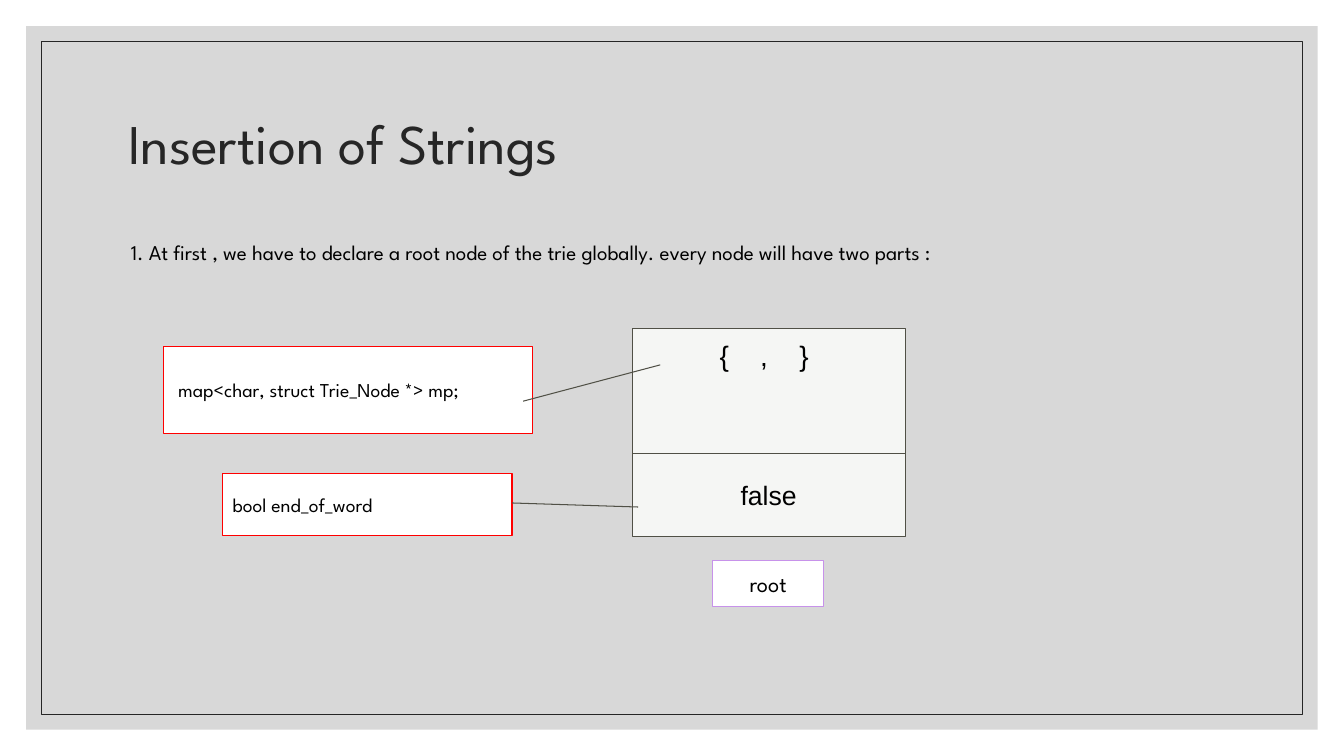
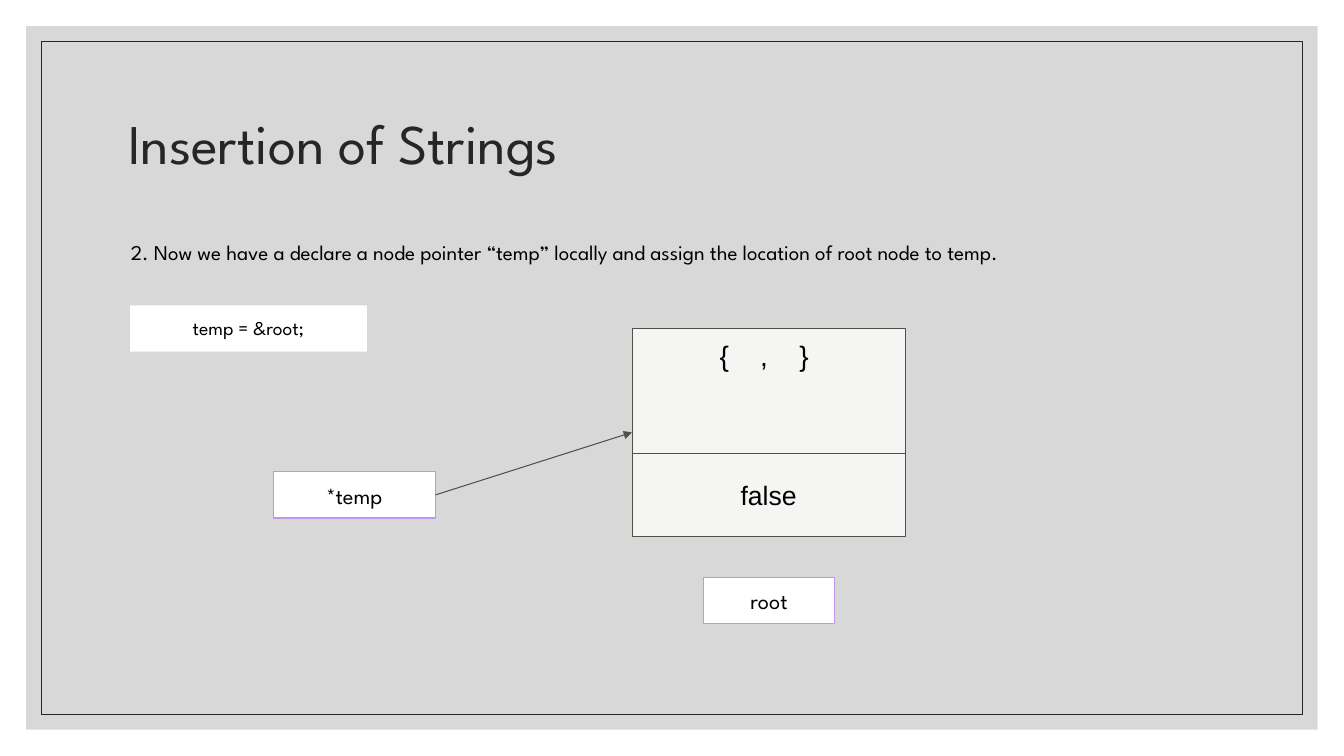
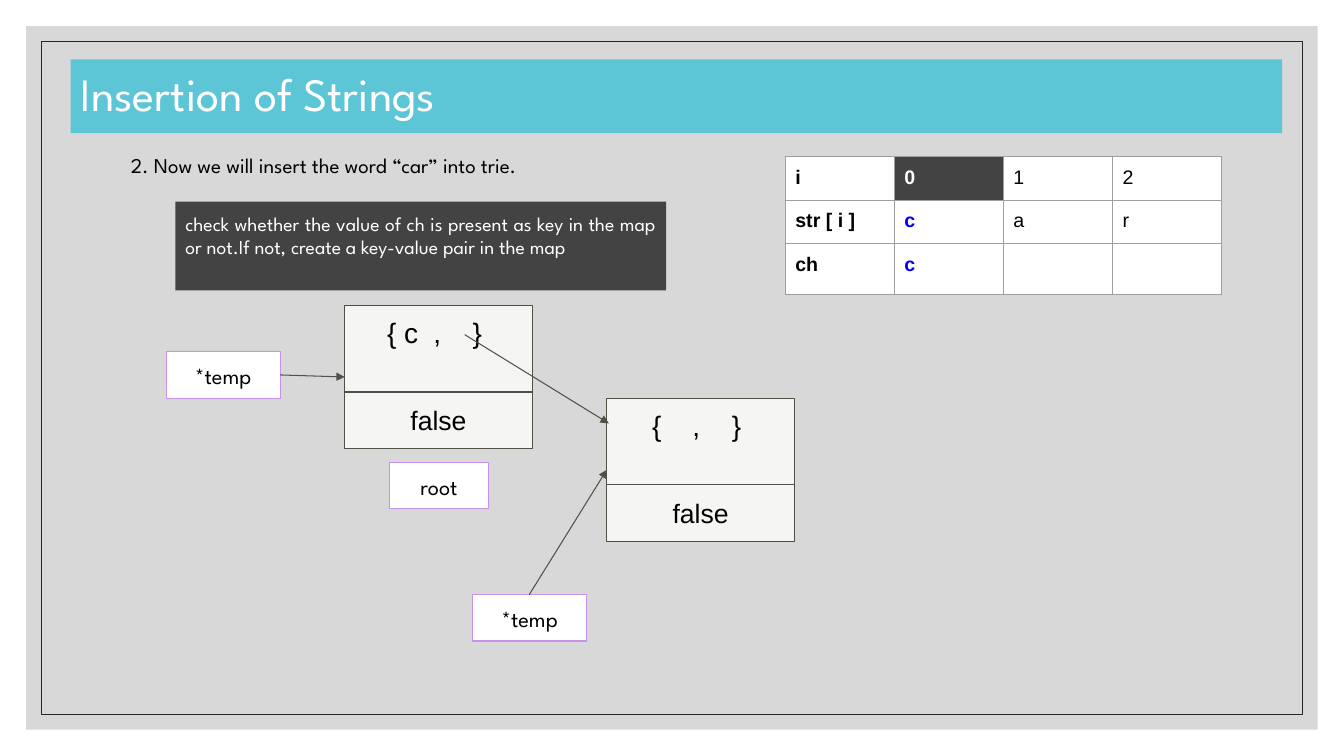
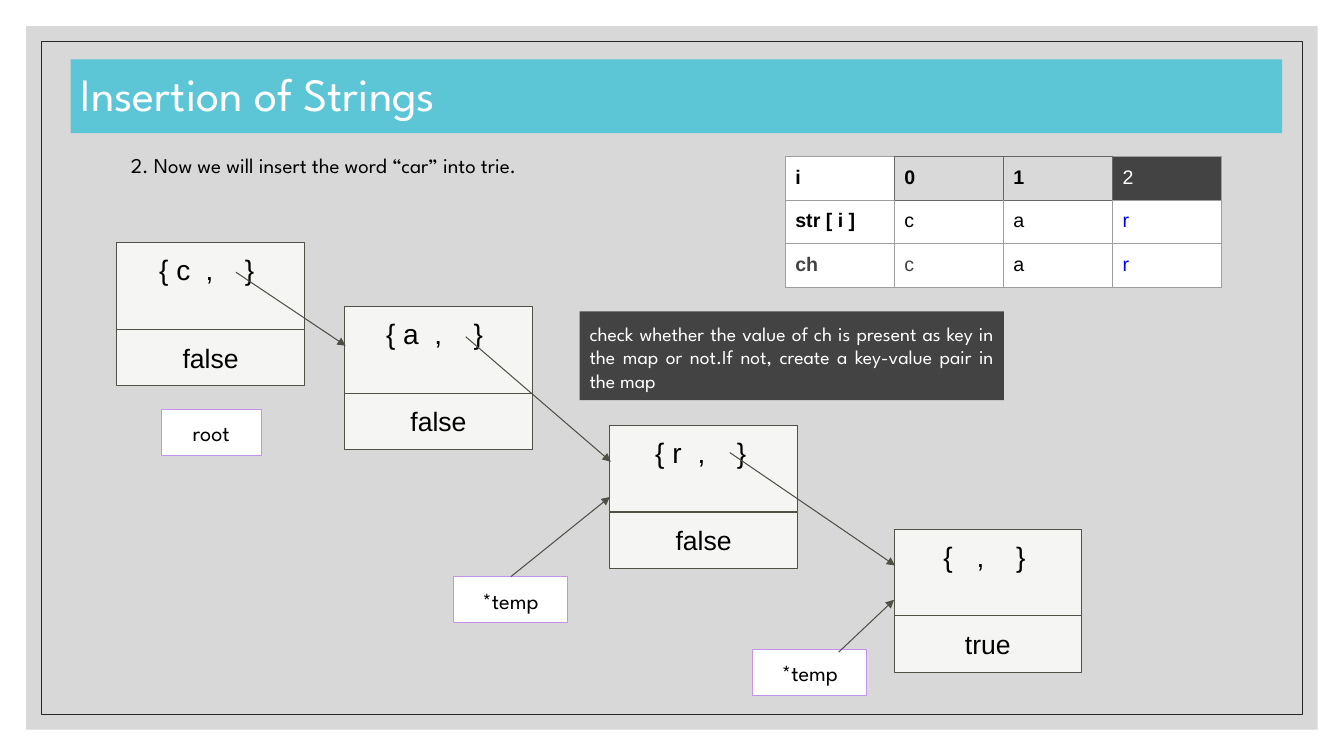
from dataclasses import dataclass
from typing import Any, NamedTuple, Optional

from lxml.etree import SubElement
from pptx import Presentation
from pptx.dml.color import RGBColor
from pptx.enum.shapes import MSO_CONNECTOR, MSO_SHAPE
from pptx.enum.text import MSO_ANCHOR, MSO_AUTO_SIZE, PP_ALIGN
from pptx.oxml.ns import qn
from pptx.util import Emu, Inches, Pt


# ---------- theme ----------
@dataclass(frozen=True)
class Theme:
    white: str = "FFFFFF"
    black: str = "000000"
    ink: str = "262626"
    panel: str = "BFBFBF"
    band: str = "5CC6D6"
    dark: str = "434343"
    node_fill: str = "F5F6F4"
    node_line: str = "505046"
    red: str = "FF0000"
    purple: str = "C792EA"
    blue: str = "0000FF"
    visited: str = "D9D9D9"
    grid_line: str = "9E9E9E"
    visited_line: str = "666666"
    heading_font: str = "League Spartan"
    node_font: str = "Arial"
    title_size: int = 40
    band_title_size: int = 33
    step_size: int = 15
    tag_size: int = 16
    small_size: int = 14
    key_size: int = 20
    value_size: int = 19
    line_width: float = 0.75


THEME = Theme()
CELL = Inches(0.1)  # the layout grid has square cells
SLIDE_COLS, SLIDE_ROWS = 133.33, 75
BRACE_GAP = 3.9  # columns from the comma to the closing brace


# ---------- content types ----------
class Box(NamedTuple):
    col: float
    row: float
    cols: float
    rows: float


class Arrow(NamedTuple):
    col: float
    row: float
    to_col: float
    to_row: float
    head: bool = True


@dataclass(frozen=True)
class LabelStyle:
    size: int
    fill: str = THEME.white
    line: Optional[str] = None
    color: str = THEME.black
    align: PP_ALIGN = PP_ALIGN.CENTER
    anchor: MSO_ANCHOR = MSO_ANCHOR.TOP


class Label(NamedTuple):
    text: str
    box: Box
    style: LabelStyle


@dataclass(frozen=True)
class NodeSize:
    cols: float
    key_rows: float
    value_rows: float


class Entry(NamedTuple):
    """Opening text of a map entry, its indent and its distance to the comma."""
    opening: str
    indent: float
    comma: float


class Node(NamedTuple):
    col: float
    row: float
    entry: Entry
    value: str = "false"
    size: NodeSize = NodeSize(18.6, 8.6, 5.6)


class CellStyle(NamedTuple):
    color: str = THEME.black
    bold: bool = False
    fill: str = THEME.white


class TableCell(NamedTuple):
    text: str
    style: CellStyle = CellStyle()


@dataclass(frozen=True)
class TitleStyle:
    box: Box
    size: int
    color: str
    fill: Optional[str] = None


@dataclass(frozen=True)
class Page:
    title: TitleStyle
    step: str
    step_box: Box
    nodes: tuple[Node, ...]
    labels: tuple[Label, ...]
    arrows: tuple[Arrow, ...]
    letters: tuple[tuple[TableCell, ...], ...] = ()


# ---------- helpers ----------
def grid(cells: float) -> Emu:
    return Emu(round(cells * CELL))


def place(box: Box) -> tuple[Emu, ...]:
    return tuple(grid(length) for length in box)


def assign(target: Any, values: dict[str, Any]) -> None:
    for name, value in values.items():
        setattr(target, name, value)


def paint(fill: Any, color: Optional[str]) -> None:
    if color is None:
        fill.background()
    else:
        fill.solid()
        fill.fore_color.rgb = RGBColor.from_string(color)


def write(frame: Any, text: str, font: str, size: float, color: str,
          bold: bool = False, **paragraph_format: Any) -> Any:
    paragraph = frame.paragraphs[0]
    assign(paragraph, paragraph_format)
    run = paragraph.add_run()
    run.text = text
    assign(run.font, {"name": font, "size": Pt(size), "bold": bold})
    run.font.color.rgb = RGBColor.from_string(color)
    return paragraph


def add_box(slide: Any, box: Box, fill: Optional[str], line: Optional[str],
            anchor: MSO_ANCHOR = MSO_ANCHOR.TOP) -> Any:
    shape = slide.shapes.add_shape(MSO_SHAPE.RECTANGLE, *place(box))
    shape.shadow.inherit = False
    paint(shape.fill, fill)
    paint(shape.line.fill, line)
    if line:
        shape.line.width = Pt(THEME.line_width)
    sides = ("left", "top", "right", "bottom")
    assign(shape.text_frame, {f"margin_{side}": grid(1) for side in sides})
    assign(shape.text_frame, {"word_wrap": True, "vertical_anchor": anchor})
    return shape


# ---------- parts of a slide ----------
def add_backdrop(slide: Any) -> None:
    """Put the grey panel and the thin frame on the layout of this slide."""
    looks = ((2.6, THEME.panel, None), (4.1, None, THEME.ink))
    for index, (margin, fill, line) in enumerate(looks):
        box = Box(margin, margin, SLIDE_COLS - 2 * margin, SLIDE_ROWS - 2 * margin)
        element = add_box(slide, box, fill, line).element
        if fill:
            color = next(element.spPr.iter(qn("a:srgbClr")))
            SubElement(color, qn("a:alpha"), val="60000")
        element.nvSpPr.cNvPr.set("id", str(100 + index))
        slide.slide_layout.shapes.element.insert(2 + index, element)


def set_title(slide: Any, style: TitleStyle) -> None:
    title = slide.shapes.title
    assign(title, dict(zip(("left", "top", "width", "height"), place(style.box))))
    paint(title.fill, style.fill)
    assign(title.text_frame, {"word_wrap": True, "auto_size": MSO_AUTO_SIZE.NONE,
                              "vertical_anchor": MSO_ANCHOR.MIDDLE})
    write(title.text_frame, "Insertion of Strings", THEME.heading_font, style.size,
          style.color, alignment=PP_ALIGN.LEFT, line_spacing=0.9)


def add_step(slide: Any, text: str, box: Box) -> None:
    frame = slide.shapes.add_textbox(*place(box)).text_frame
    frame.word_wrap = True
    paragraph = write(frame, text, THEME.heading_font, THEME.step_size, THEME.black,
                      line_spacing=1.1, space_before=Pt(9))
    paragraph.font.size = Pt(THEME.step_size)
    properties = paragraph.runs[0].font and paragraph.font and frame.paragraphs[0]
    indent = next(properties.line_spacing and frame.paragraphs[0].runs[0].text and
                  slide.shapes[-1].element.iter(qn("a:pPr")))
    indent.set("marL", str(grid(5)))
    indent.set("indent", "0")


def add_label(slide: Any, label: Label) -> None:
    style = label.style
    shape = add_box(slide, label.box, style.fill, style.line, style.anchor)
    write(shape.text_frame, label.text, THEME.heading_font, style.size, style.color,
          alignment=style.align)


def add_node(slide: Any, node: Node) -> None:
    size, entry = node.size, node.entry
    colors = (THEME.node_fill, THEME.node_line)

    # Upper part: the map entry, spaced by tab stops
    key = add_box(slide, Box(node.col, node.row, size.cols, size.key_rows), *colors)
    key.text_frame.margin_left = grid(1 + entry.indent)
    write(key.text_frame, f"{entry.opening}\t,\t}}", THEME.node_font, THEME.key_size,
          THEME.black, alignment=PP_ALIGN.LEFT)
    tabs = SubElement(next(key.element.iter(qn("a:pPr"))), qn("a:tabLst"))
    for stop in (entry.comma, entry.comma + BRACE_GAP):
        SubElement(tabs, qn("a:tab"), pos=str(grid(stop)), algn="l")

    # Lower part: the end-of-word flag
    value_box = Box(node.col, node.row + size.key_rows, size.cols, size.value_rows)
    value = add_box(slide, value_box, *colors, MSO_ANCHOR.MIDDLE)
    write(value.text_frame, node.value, THEME.node_font, THEME.value_size,
          THEME.black, alignment=PP_ALIGN.CENTER)


def add_arrow(slide: Any, arrow: Arrow) -> None:
    ends = (grid(length) for length in arrow[:4])
    link = slide.shapes.add_connector(MSO_CONNECTOR.STRAIGHT, *ends)
    paint(link.line.fill, THEME.node_line)
    link.line.width = Pt(THEME.line_width)
    properties = link.element.spPr
    if arrow.head:
        SubElement(properties.find(qn("a:ln")), qn("a:tailEnd"), type="triangle")
    SubElement(properties, qn("a:effectLst"))


def add_letters(slide: Any, rows: tuple[tuple[TableCell, ...], ...]) -> None:
    col_width, row_height = 10.82, 4.2
    box = Box(77.9, 15.5, col_width * len(rows[0]), row_height * len(rows))
    frame = slide.shapes.add_table(len(rows), len(rows[0]), *place(box))
    table = frame.table
    assign(table, {"first_row": False, "horz_banding": False})
    for row in table.rows:
        row.height = grid(row_height)

    # An edge is darker where a visited cell lies on either side of it
    visited = {(r, c) for r, row in enumerate(rows) for c, item in enumerate(row)
               if item.style.fill == THEME.visited}
    edges = {"a:lnL": (0, -1), "a:lnR": (0, 1), "a:lnT": (-1, 0), "a:lnB": (1, 0)}
    elements = list(frame.element.iter(qn("a:tc")))
    for r, row in enumerate(rows):
        for c, item in enumerate(row):
            properties = elements[r * len(row) + c].get_or_add_tcPr()
            for tag, (down, across) in edges.items():
                near_visited = visited & {(r, c), (r + down, c + across)}
                color = THEME.visited_line if near_visited else THEME.grid_line
                edge = SubElement(properties, qn(tag), w=str(Pt(THEME.line_width)))
                SubElement(SubElement(edge, qn("a:solidFill")), qn("a:srgbClr"), val=color)
            cell = table.cell(r, c)
            paint(cell.fill, item.style.fill)
            assign(cell, {"margin_left": grid(1), "margin_right": grid(1),
                          "margin_top": grid(1), "margin_bottom": grid(1)})
            if item.text:
                write(cell.text_frame, item.text, THEME.node_font, THEME.small_size,
                      item.style.color, item.style.bold)


# ---------- shared content ----------
PLAIN_TITLE = TitleStyle(Box(11.7, 7, 110, 15), THEME.title_size, THEME.ink)
BAND_TITLE = TitleStyle(Box(7, 5.9, 120.2, 7.3), THEME.band_title_size, THEME.white,
                        THEME.band)

TAG = LabelStyle(THEME.tag_size, line=THEME.purple)
FIELD = LabelStyle(THEME.small_size, line=THEME.red, align=PP_ALIGN.LEFT,
                   anchor=MSO_ANCHOR.MIDDLE)
STATEMENT = LabelStyle(THEME.small_size)
NOTE = LabelStyle(THEME.small_size, fill=THEME.dark, color=THEME.white,
                  align=PP_ALIGN.JUSTIFY)

WIDE_EMPTY = Entry("{", 7.7, 4)
EMPTY = Entry("{", 3.5, 4)
LAST_EMPTY = Entry("{", 3.9, 3.3)
KEY_C = Entry("{ c", 3.2, 4.6)
KEY_A = Entry("{ a", 3.1, 4.8)
KEY_R = Entry("{ r", 3.5, 4.2)

ROOT_NODE = Node(62.7, 32.6, WIDE_EMPTY, size=NodeSize(27.1, 12.4, 8.2))
STEP_BOX = Box(7, 23, 119.1, 42.1)
WORD_STEP_BOX = Box(7, 14.4, 119.1, 50.7)
WORD_STEP = "2. Now we will insert the word “car” into trie."
CHECK = ("check whether the value of ch is present as key in the map or not."
         "If not, create a key-value pair in the map")

HEAD = CellStyle(bold=True)
DIM_HEAD = CellStyle(THEME.dark, True)
DIM = CellStyle(THEME.dark)
CURRENT = CellStyle(THEME.blue)
CURRENT_BOLD = CellStyle(THEME.blue, True)
VISITED = CellStyle(bold=True, fill=THEME.visited)
INDEX = CellStyle(THEME.white, fill=THEME.dark)
INDEX_BOLD = CellStyle(THEME.white, True, THEME.dark)


def tag(text: str, col: float, row: float, cols: float) -> Label:
    return Label(text, Box(col, row, cols, 4.6), TAG)


def temp_tag(col: float, row: float) -> Label:
    return tag("*temp", col, row, 11.3)


# ---------- slides ----------
PAGES = (
    Page(
        PLAIN_TITLE,
        "1. At first , we have to declare a root node of the trie globally. "
        "every node will have two parts :",
        STEP_BOX,
        nodes=(ROOT_NODE,),
        labels=(
            Label(" map<char, struct Trie_Node *> mp;", Box(16.2, 34.4, 36.6, 8.6), FIELD),
            Label("bool end_of_word", Box(22.1, 47, 28.7, 6.1), FIELD),
            tag("root", 70.7, 55.6, 11),
        ),
        arrows=(Arrow(51.9, 39.8, 65.5, 36.2, False),
                Arrow(50.8, 49.9, 63.3, 50.3, False)),
    ),
    Page(
        PLAIN_TITLE,
        "2. Now we have a declare a node pointer “temp” locally and assign "
        "the location of root node to temp.",
        STEP_BOX,
        nodes=(ROOT_NODE,),
        labels=(
            tag("*temp", 27.1, 46.8, 16.1),
            tag("root", 69.8, 57.3, 13),
            Label("temp = &root;", Box(12.9, 30.3, 23.5, 4.6), STATEMENT),
        ),
        arrows=(Arrow(43.2, 49.1, 62.7, 42.9),),
    ),
    Page(
        BAND_TITLE, WORD_STEP, WORD_STEP_BOX,
        nodes=(Node(34.2, 30.3, KEY_C), Node(60.2, 39.5, EMPTY)),
        labels=(
            temp_tag(16.5, 34.9),
            tag("root", 38.6, 45.9, 9.9),
            Label(CHECK, Box(17.4, 20, 48.7, 8.8), NOTE),
            temp_tag(46.9, 59),
        ),
        arrows=(Arrow(27.8, 37.2, 34.2, 37.4), Arrow(46.1, 33.2, 60.4, 42),
                Arrow(52.5, 59, 60.2, 46.6)),
        letters=(
            (TableCell("i", HEAD), TableCell("0", INDEX_BOLD), TableCell("1"),
             TableCell("2")),
            (TableCell("str [ i ]", HEAD), TableCell("c", CURRENT_BOLD),
             TableCell("a"), TableCell("r")),
            (TableCell("ch", HEAD), TableCell("c", CURRENT_BOLD), TableCell(""),
             TableCell("")),
        ),
    ),
    Page(
        BAND_TITLE, WORD_STEP, WORD_STEP_BOX,
        nodes=(Node(11.6, 24.1, KEY_C), Node(34.2, 30.4, KEY_A),
               Node(60.5, 42.2, KEY_R), Node(88.7, 52.5, LAST_EMPTY, "true")),
        labels=(
            tag("root", 16, 40.6, 9.9),
            Label(CHECK, Box(57.5, 30.9, 42.1, 8.8), NOTE),
            temp_tag(45, 57.2),
            temp_tag(74.7, 64.4),
        ),
        arrows=(Arrow(23.4, 27, 34.3, 34.3), Arrow(46.2, 33.4, 60.6, 45.8),
                Arrow(72.4, 44.9, 88.8, 56.1), Arrow(50.7, 57.2, 60.5, 49.3),
                Arrow(83.2, 64.7, 88.7, 59.5)),
        letters=(
            (TableCell("i", HEAD), TableCell("0", VISITED), TableCell("1", VISITED),
             TableCell("2", INDEX)),
            (TableCell("str [ i ]", HEAD), TableCell("c"), TableCell("a"),
             TableCell("r", CURRENT)),
            (TableCell("ch", DIM_HEAD), TableCell("c", DIM), TableCell("a"),
             TableCell("r", CURRENT)),
        ),
    ),
)


def main() -> None:
    deck = Presentation()
    assign(deck, {"slide_width": grid(SLIDE_COLS), "slide_height": grid(SLIDE_ROWS)})
    title_only = deck.slide_layouts[5]
    for number, page in enumerate(PAGES):
        slide = deck.slides.add_slide(title_only)
        if number == 0:
            add_backdrop(slide)
        set_title(slide, page.title)
        add_step(slide, page.step, page.step_box)
        for node in page.nodes:
            add_node(slide, node)
        for label in page.labels:
            add_label(slide, label)
        if page.letters:
            add_letters(slide, page.letters)
        for arrow in page.arrows:
            add_arrow(slide, arrow)
    deck.save("out.pptx")


if __name__ == "__main__":
    main()
